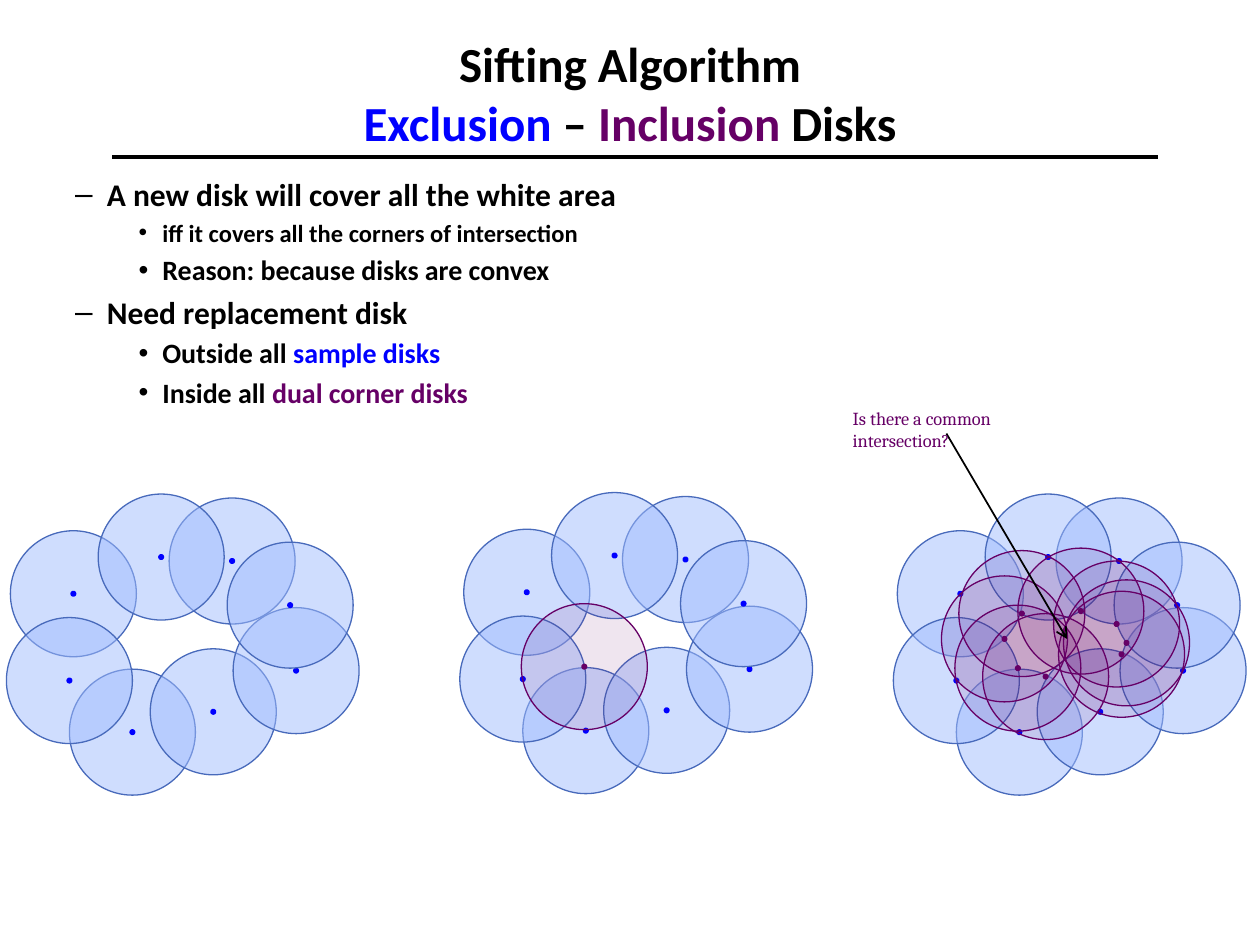
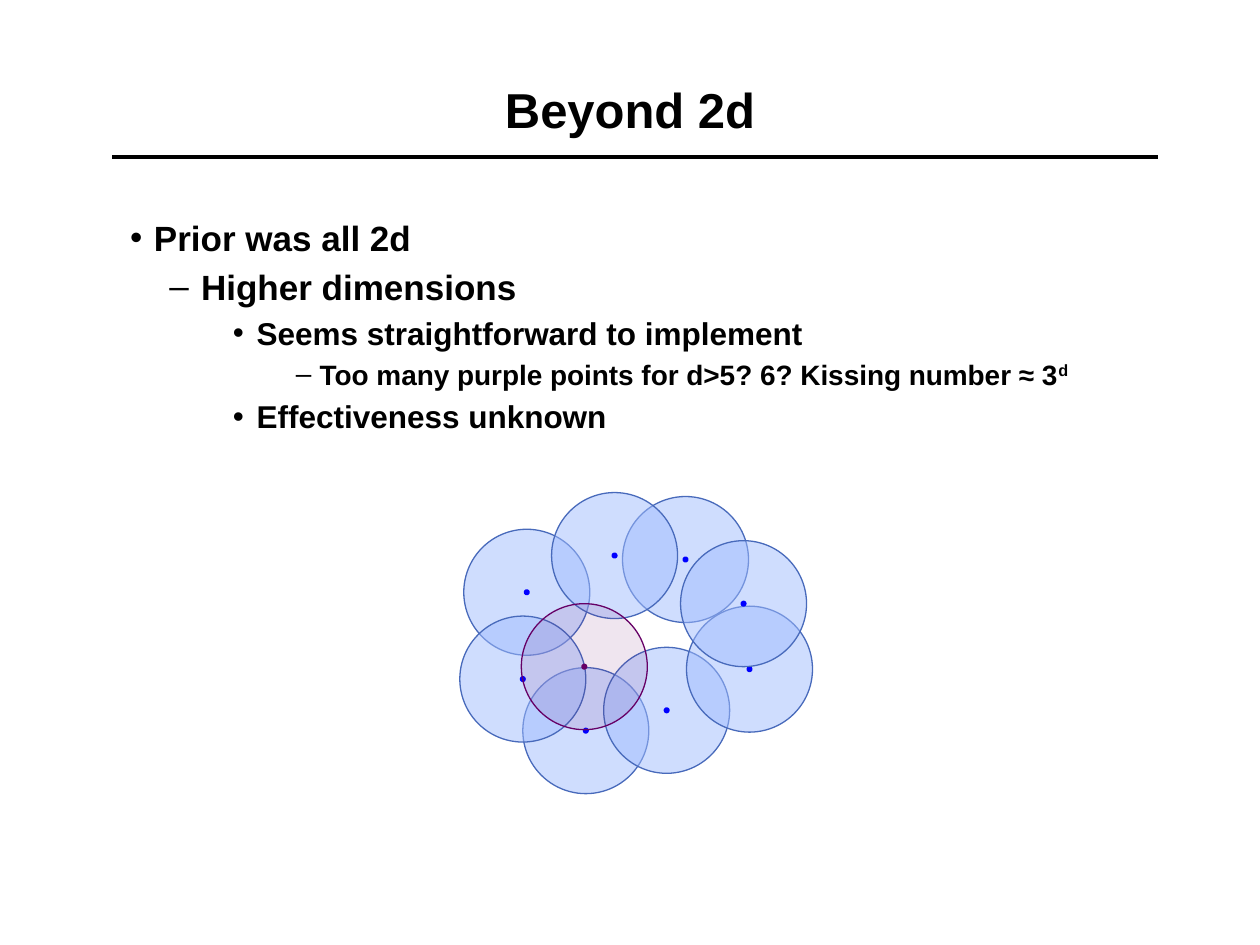
import copy

import pptx
import pptx.dml.color
import pptx.enum.shapes
import pptx.enum.text
import pptx.oxml
import pptx.oxml.ns
import pptx.util
from pptx.util import Cm, Pt

BLACK = "000000"
BLUE = "0000FF"
PURPLE = "660066"
SAMPLE_FILL = "A0BCFE"
SAMPLE_EDGE = "486ABB"

DISK_SIZE = 2.54
DOT_SIZE = 0.05
SAMPLE_DISKS = [
    (1.27, 3.53), (3.28, 0.08), (0.08, 0.74), (0, 2.49),
    (1.85, 0), (2.9, 3.12), (4.57, 2.29), (4.45, 0.97),
]
CORNER_DISKS = [
    (3.23, 1.35), (3.43, 1.73), (3.33, 1.96), (1.8, 2.41),
    (1.24, 2.24), (2.51, 1.09), (1.32, 1.14), (0.97, 1.65),
]
REPLACEMENT_DISK = CORNER_DISKS[4:5]
LEFT_CLUSTER = (0.13, 9.96)
MIDDLE_CLUSTER = (9.27, 9.93)
RIGHT_CLUSTER = (18.01, 9.96)

LEVEL_INDENTS = [(0.95, -0.48), (1.9, -0.64), (3.02, -0.48), (4.29, -0.48)]


def color(hex_value):
    return pptx.dml.color.RGBColor.from_string(hex_value)


def write_runs(paragraph, parts, size, font):
    for part in parts:
        text, hex_value = part if isinstance(part, tuple) else (part, BLACK)
        run = paragraph.add_run()
        run.text = text
        run.font.name = font
        run.font.size = Pt(size)
        run.font.bold = True
        run.font.color.rgb = color(hex_value)


def place(placeholder, left, top, width, height):
    placeholder.left, placeholder.top = Cm(left), Cm(top)
    placeholder.width, placeholder.height = Cm(width), Cm(height)
    frame = placeholder.text_frame
    frame.auto_size = pptx.enum.text.MSO_AUTO_SIZE.NONE
    frame.word_wrap = True
    return frame


def add_line(slide, start, end, width):
    line = slide.shapes.add_connector(
        pptx.enum.shapes.MSO_CONNECTOR.STRAIGHT, *map(Cm, start + end))
    line.line.color.rgb = color(BLACK)
    line.line.width = Pt(width)
    pptx.oxml.ns.qn("a:effectLst")
    line._element.spPr.append(pptx.oxml.parse_xml(
        f'<a:effectLst {pptx.oxml.ns.nsdecls("a")}/>'))
    return line


def add_arrow(slide, start, end):
    arrow = add_line(slide, start, end, 1)
    arrow.line._get_or_add_ln().append(pptx.oxml.parse_xml(
        f'<a:tailEnd {pptx.oxml.ns.nsdecls("a")} type="arrow"/>'))


def add_titled_slide(deck, title_lines, font, top, height):
    slide = deck.slides.add_slide(deck.slide_layouts[1])
    add_line(slide, (2.26, 3.17), (23.34, 3.17), 2)
    frame = place(slide.shapes.title, 1.9, top, 21.6, height)
    frame.vertical_anchor = pptx.enum.text.MSO_ANCHOR.MIDDLE
    heading = frame.paragraphs[0]
    heading.alignment = pptx.enum.text.PP_ALIGN.CENTER
    for index, parts in enumerate(title_lines):
        if index:
            heading.add_line_break()
        write_runs(heading, parts, 28, font)
    for line_break in heading._p.findall(pptx.oxml.ns.qn("a:br")):
        line_break.append(copy.deepcopy(heading.runs[0]._r.rPr))
    return slide


def fill_outline(slide, box, font, items):
    frame = place(slide.placeholders[1], *box)
    frame.vertical_anchor = pptx.enum.text.MSO_ANCHOR.TOP
    for index, (level, size, parts) in enumerate(items):
        item = frame.add_paragraph() if index else frame.paragraphs[0]
        item.level = level
        item.space_before = Pt(0.2 * size if index else 0)
        margin, indent = LEVEL_INDENTS[level]
        properties = item._p.get_or_add_pPr()
        properties.set("marL", str(Cm(margin)))
        properties.set("indent", str(Cm(indent)))
        write_runs(item, parts, size, font)
    return frame


def add_circle(group, preset, center, size, fill, edge, edge_width, opacity=100):
    x, y = center
    circle = group.shapes.add_shape(
        preset, Cm(x - size / 2), Cm(y - size / 2), Cm(size), Cm(size))
    circle.shadow.inherit = False
    circle.fill.solid()
    circle.fill.fore_color.rgb = color(fill)
    if opacity < 100:
        fill_color = circle._element.spPr.find(
            f'{pptx.oxml.ns.qn("a:solidFill")}/{pptx.oxml.ns.qn("a:srgbClr")}')
        fill_color.append(pptx.oxml.parse_xml(
            f'<a:alpha {pptx.oxml.ns.nsdecls("a")} val="{opacity * 1000}"/>'))
    circle.line.color.rgb = color(edge)
    circle.line.width = Pt(edge_width)


def add_disks(group, origin, offsets, fill, edge, dot, opacity):
    presets = pptx.enum.shapes.MSO_SHAPE
    for dx, dy in offsets:
        center = (origin[0] + dx + DISK_SIZE / 2, origin[1] + dy + DISK_SIZE / 2)
        add_circle(group, presets.FLOWCHART_CONNECTOR, center, DISK_SIZE,
                   fill, edge, 0, opacity)
        add_circle(group, presets.OVAL, center, DOT_SIZE, dot, dot, 2)


def add_cluster(slide, origin, corner_disks=()):
    cluster = slide.shapes.add_group_shape()
    add_disks(cluster, origin, SAMPLE_DISKS, SAMPLE_FILL, SAMPLE_EDGE, BLUE, 50)
    add_disks(cluster, origin, corner_disks, PURPLE, PURPLE, PURPLE, 10)


def add_question(slide, text):
    question = slide.shapes.add_textbox(Cm(16.94), Cm(8.08), Cm(4.8), Cm(1.1))
    frame = question.text_frame
    frame.word_wrap = True
    frame.text = text
    font = frame.paragraphs[0].runs[0].font
    font.name = "Cambria"
    font.size = Pt(10.5)
    font.color.rgb = color(PURPLE)


def build_sifting_slide(deck):
    slide = add_titled_slide(deck, [
        ["Sifting Algorithm"],
        [("Exclusion", BLUE), " – ", ("Inclusion", PURPLE), " Disks"],
    ], "Calibri", 0.15, 3.43)
    fill_outline(slide, (0, 3.4, 17.17, 5.2), "Calibri", [
        (1, 18, ["A new disk will cover all the white area"]),
        (2, 14, ["iff it covers all the corners of intersection"]),
        (2, 16, ["Reason: because disks are convex"]),
        (1, 18, ["Need replacement disk"]),
        (2, 16, ["Outside all ", ("sample disks", BLUE)]),
        (2, 16, ["Inside all ", ("dual corner disks", PURPLE)]),
    ])
    add_cluster(slide, LEFT_CLUSTER)
    add_cluster(slide, MIDDLE_CLUSTER, REPLACEMENT_DISK)
    add_cluster(slide, RIGHT_CLUSTER, CORNER_DISKS)
    add_arrow(slide, (19.08, 8.74), (21.51, 12.88))
    add_question(slide, "Is there a common intersection?")


def build_dimensions_slide(deck):
    slide = add_titled_slide(deck, [["Beyond 2d"]], "Arial", 0.79, 2.82)
    outline = fill_outline(slide, (1.9, 4.24, 21.6, 12.7), "Arial", [
        (0, 20, ["Prior was all 2d"]),
        (1, 20, ["Higher dimensions"]),
        (2, 18, ["Seems straightforward to implement"]),
        (3, 16, ["Too many purple points for d>5? 6? Kissing number ≈ 3", "d"]),
        (2, 18, ["Effectiveness unknown"]),
    ])
    exponent = outline.paragraphs[3].runs[-1]
    exponent.font._element.set("baseline", "30000")
    add_cluster(slide, MIDDLE_CLUSTER, REPLACEMENT_DISK)


def main():
    deck = pptx.Presentation()
    deck.slide_width, deck.slide_height = Cm(25.4), Cm(19.05)
    build_sifting_slide(deck)
    build_dimensions_slide(deck)
    deck.save("out.pptx")


if __name__ == "__main__":
    main()
